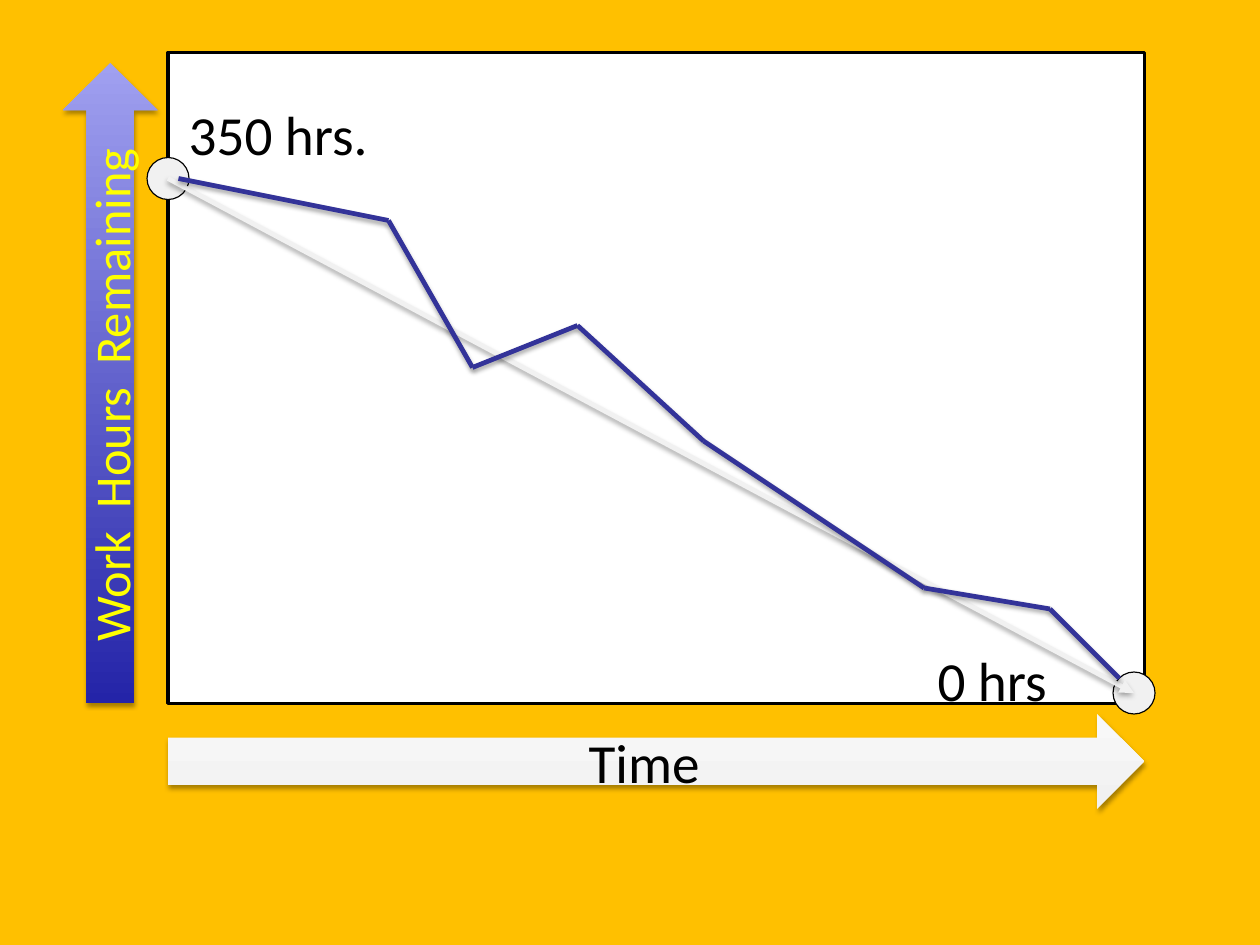
import itertools
import pptx
import pptx.dml.color
import pptx.enum.shapes
import pptx.enum.text
import pptx.oxml
import pptx.oxml.ns
import pptx.util

SHAPE = pptx.enum.shapes.MSO_SHAPE
ANCHOR = pptx.enum.text.MSO_ANCHOR
SHADOW = (
    '<a:effectLst %s><a:outerShdw blurRad="38100" dist="22860" dir="5400000" '
    'rotWithShape="0"><a:srgbClr val="000000"><a:alpha val="35000"/></a:srgbClr>'
    '</a:outerShdw></a:effectLst>' % pptx.oxml.ns.nsdecls("a")
)
TRIANGLE = '<a:tailEnd %s type="triangle"/>' % pptx.oxml.ns.nsdecls("a")


def rgb(value):
    return pptx.dml.color.RGBColor.from_string(value)


class Deck:
    """Draws styled elements on a slide divided into 120 columns and 90 rows."""

    font = "Calibri"

    def __init__(self, prs, background):
        self.cell = prs.slide_width / 120
        self.s = prs.slides.add_slide(prs.slide_layouts[6])
        self.s.background.fill.solid()
        self.s.background.fill.fore_color.rgb = rgb(background)

    def grid(self, *units):
        return [round(u * self.cell) for u in units]

    def shadow(self, sp):
        sp._element.spPr.append(pptx.oxml.parse_xml(SHADOW))

    def shape(self, kind, box, fill, width):
        sp = self.s.shapes.add_shape(kind, *self.grid(*box))
        sp.shadow.inherit = False
        sp.fill.solid()
        sp.fill.fore_color.rgb = rgb(fill)
        sp.line.color.rgb = rgb("000000")
        sp.line.width = pptx.util.Pt(width)

    def marker(self, col, row, radius=2):
        box = (col - radius, row - radius, 2 * radius, 2 * radius)
        self.shape(SHAPE.OVAL, box, "F1F1F1", 0.75)

    def arrow(self, kind, box, colors):
        sp = self.s.shapes.add_shape(kind, *self.grid(*box))
        sp.line.fill.background()
        sp.fill.gradient()
        sp.fill.gradient_angle = 270
        for stop, color, position in zip(sp.fill.gradient_stops, colors, (0, 1)):
            stop.color.rgb = rgb(color)
            stop.position = position
        self.shadow(sp)

    def line(self, start, end, color, head=False):
        sp = self.s.shapes.add_connector(
            pptx.enum.shapes.MSO_CONNECTOR.STRAIGHT, *self.grid(*start, *end))
        sp.line.color.rgb = rgb(color)
        sp.line.width = pptx.util.Pt(3)
        if head:
            sp.line._get_or_add_ln().append(pptx.oxml.parse_xml(TRIANGLE))
        self.shadow(sp)

    def text(self, text, box, size=35, color="000000", anchor=ANCHOR.TOP,
             inset=0.05, rotation=0):
        sp = self.s.shapes.add_textbox(*self.grid(*box))
        sp.rotation = rotation
        tf = sp.text_frame
        margin = pptx.util.Inches(inset)
        frame = {"word_wrap": True, "vertical_anchor": anchor}
        frame.update({"margin_" + side: margin
                      for side in ("left", "top", "right", "bottom")})
        for name, value in frame.items():
            setattr(tf, name, value)
        p = tf.paragraphs[0]
        p.alignment = pptx.enum.text.PP_ALIGN.CENTER
        r = p.add_run()
        r.text = text
        for name, value in {"name": self.font, "size": pptx.util.Pt(size)}.items():
            setattr(r.font, name, value)
        r.font.color.rgb = rgb(color)


def main():
    prs = pptx.Presentation()
    prs.slide_width, prs.slide_height = pptx.util.Pt(800), pptx.util.Pt(600)
    deck = Deck(prs, "FFC000")

    deck.shape(SHAPE.RECTANGLE, (16, 5, 93, 62), "FFFFFF", 2)
    deck.arrow(SHAPE.RIGHT_ARROW, (16, 68, 93, 9), ("F8F8F8", "F1F1F1"))
    deck.text("Time", (16, 69, 90.7, 7), anchor=ANCHOR.MIDDLE, inset=0)
    deck.arrow(SHAPE.UP_ARROW, (6, 6, 9, 61), ("A0A0F0", "2424A8"))
    deck.text("Work  Hours  Remaining", (-18.9, 34.35, 58.8, 6.5), size=32,
              color="FFFF00", anchor=ANCHOR.MIDDLE, inset=0, rotation=270)

    ideal = [(16, 17), (108, 66)]
    for point in ideal:
        deck.marker(*point)
    deck.line(*ideal, "F1F1F1", head=True)
    deck.text("350 hrs.", (17, 9, 19, 7))
    deck.text("0 hrs", (87.5, 61, 14, 7))

    actual = [(17, 17), (37, 21), (45, 35), (55, 31), (67, 42), (88, 56),
              (100, 58), (106.6, 64.6)]
    for start, end in itertools.pairwise(actual):
        deck.line(start, end, "333399")

    prs.save("out.pptx")


if __name__ == "__main__":
    main()
